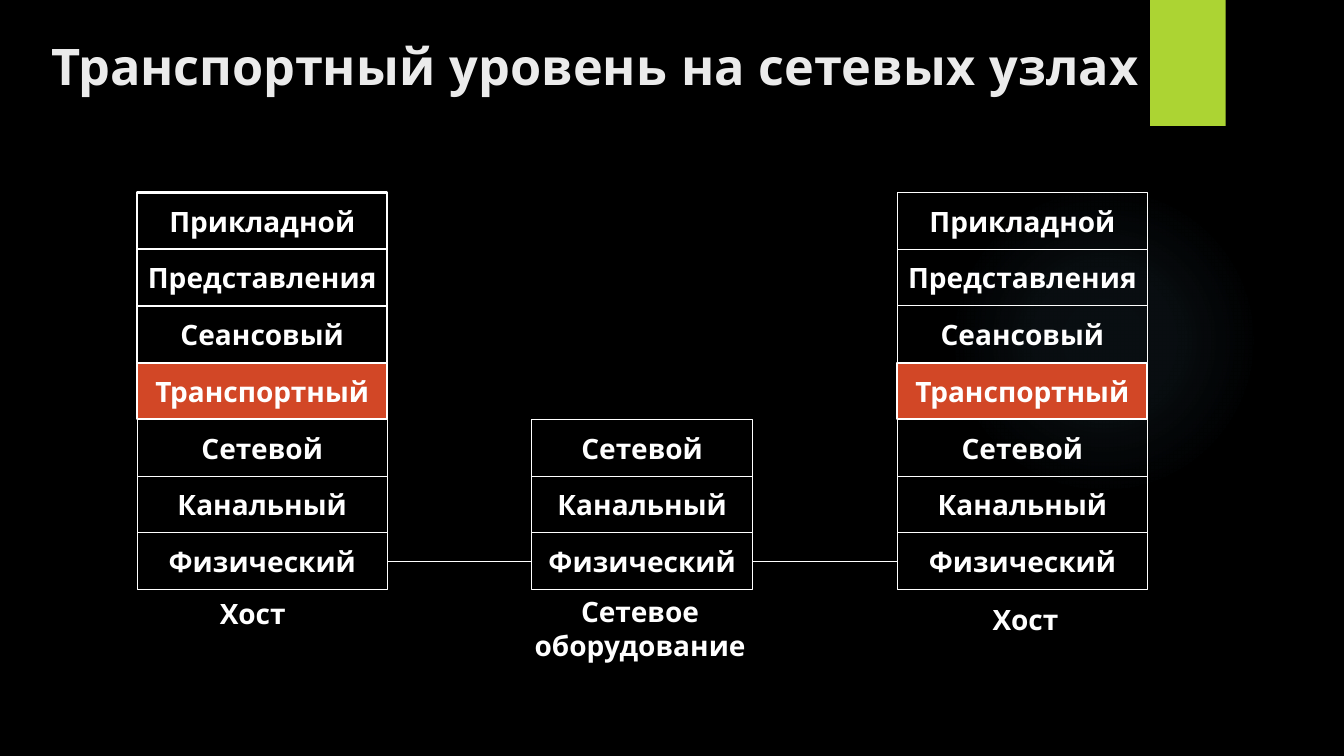
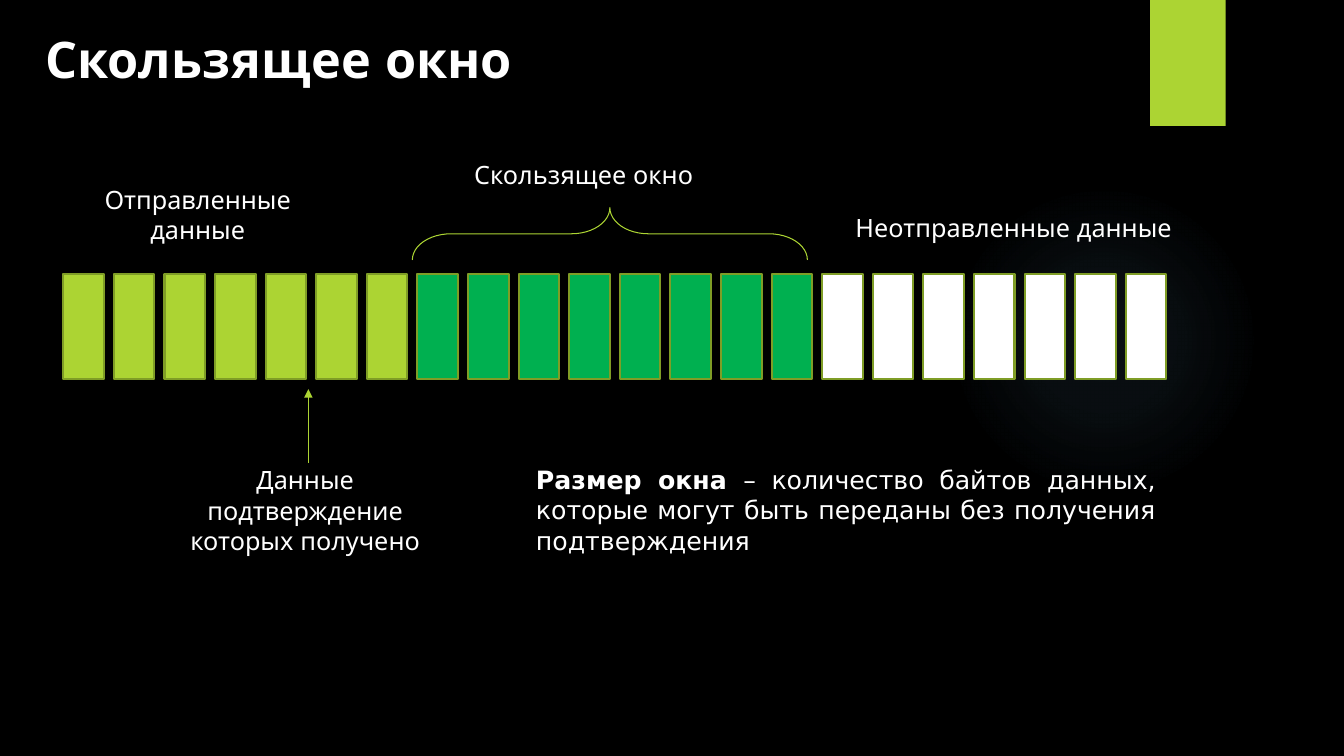
from lxml import etree
from pptx import Presentation
from pptx.dml.color import RGBColor
from pptx.enum.shapes import MSO_CONNECTOR as Connector, MSO_SHAPE as Preset
from pptx.enum.text import MSO_ANCHOR as Anchor, MSO_AUTO_SIZE as AutoSize, PP_ALIGN as Align
from pptx.oxml import parse_xml
from pptx.oxml.ns import nsdecls, qn
from pptx.util import Pt

FONT = "Quicksand"
DEFINITION_FONT = "DejaVu Sans"
BLACK, WHITE, TITLE_GRAY = "000000", "FFFFFF", "EBEBEB"
LIME, OLIVE, GREEN, ORANGE, GLOW = "ACD433", "7F9D26", "00B050", "D24726", "7AC4F0"
GLOW_STOPS = [(0, 7), (36, 6), (69, 0)]

LAYERS = ["Прикладной", "Представления", "Сеансовый", "Транспортный",
          "Сетевой", "Канальный", "Физический"]
STACK_TOP, LAYER_HEIGHT = 137.5, 40.53
HOST_WIDTH, DEVICE_WIDTH = 178.6, 158.4
LEFT_HOST, DEVICE, RIGHT_HOST = 98, 379.5, 641

BRICKS = [LIME] * 7 + [GREEN] * 8 + [WHITE] * 7
BRICK_LEFT, BRICK_TOP, BRICK_PITCH = 45.2, 196, 36.14
BRICK_WIDTH, BRICK_HEIGHT = 29, 75


def color(value):
    return RGBColor.from_string(value)


def points(*lengths):
    return [Pt(length) for length in lengths]


def format_run(run, size, bold=False, ink=WHITE, name=FONT):
    run.font.name = name
    run.font.size = Pt(size)
    run.font.bold = bold
    run.font.color.rgb = color(ink)


def write(text_frame, text, align, size, **style):
    text_frame.text = text
    for paragraph in text_frame.paragraphs:
        paragraph.alignment = align
        for run in paragraph.runs:
            format_run(run, size, **style)


def add_shape(slide, preset, box, fill=None, line=None, width=0.75):
    shape = slide.shapes.add_shape(preset, *points(*box))
    shape.shadow.inherit = False
    if fill:
        shape.fill.solid()
        shape.fill.fore_color.rgb = color(fill)
    else:
        shape.fill.background()
    if line:
        shape.line.color.rgb = color(line)
        shape.line.width = Pt(width)
    else:
        shape.line.fill.background()
    return shape


def add_label(slide, box, text, size=18, align=Align.CENTER, **style):
    text_frame = slide.shapes.add_textbox(*points(*box)).text_frame
    text_frame.word_wrap = True
    write(text_frame, text, align, size, **style)
    return text_frame


def add_line(slide, start, end, ink, arrow=False):
    connector = slide.shapes.add_connector(Connector.STRAIGHT, *points(*start, *end))
    connector.line.color.rgb = color(ink)
    connector.line.width = Pt(0.75)
    if arrow:
        etree.SubElement(connector.line._get_or_add_ln(), qn("a:tailEnd"), type="triangle")
    etree.SubElement(connector.element.spPr, qn("a:effectLst"))


def add_glow(slide):
    glow = add_shape(slide, Preset.OVAL, (677.5, 131.8, 221.8, 221.8))
    stops = "".join(
        f'<a:gs pos="{position * 1000}"><a:srgbClr val="{GLOW}">'
        f'<a:alpha val="{alpha * 1000}"/></a:srgbClr></a:gs>'
        for position, alpha in GLOW_STOPS)
    gradient = parse_xml(
        f'<a:gradFill {nsdecls("a")}><a:gsLst>{stops}</a:gsLst><a:path path="circle">'
        '<a:fillToRect l="50000" t="50000" r="50000" b="50000"/></a:path></a:gradFill>')
    properties = glow.element.spPr
    properties.replace(properties.find(qn("a:noFill")), gradient)
    return glow


def decorate_layout(layout, slide):
    layout.background.fill.solid()
    layout.background.fill.fore_color.rgb = color(BLACK)
    accent = add_shape(slide, Preset.RECTANGLE, (821.5, 0, 54, 90), LIME)
    for shape in (add_glow(slide), accent):
        layout.shapes.element.append(shape.element)


def set_title(slide, text, box, ink):
    title = slide.shapes.title
    title.left, title.top, title.width, title.height = points(*box)
    text_frame = title.text_frame
    text_frame.auto_size = AutoSize.NONE
    text_frame.vertical_anchor = Anchor.TOP
    write(text_frame, text, Align.LEFT, 36, bold=True, ink=ink)


def add_stack(slide, left, width, first=0, thick_rows=(3,)):
    for row in reversed(range(first, len(LAYERS))):
        box = (left, STACK_TOP + row * LAYER_HEIGHT, width, LAYER_HEIGHT)
        layer = add_shape(slide, Preset.RECTANGLE, box,
                          ORANGE if row == 3 else None, WHITE,
                          1.5 if row in thick_rows else 0.75)
        layer.text_frame.word_wrap = False
        layer.text_frame.vertical_anchor = Anchor.MIDDLE
        write(layer.text_frame, LAYERS[row], Align.CENTER, 20, bold=True)


def build_layers(slide):
    set_title(slide, "Транспортный уровень на сетевых узлах",
              (29.5, 21.6, 796, 64), TITLE_GRAY)
    add_stack(slide, LEFT_HOST, HOST_WIDTH, thick_rows=range(4))
    add_stack(slide, DEVICE, DEVICE_WIDTH, first=4)
    add_stack(slide, RIGHT_HOST, HOST_WIDTH)
    cable_y = STACK_TOP + (len(LAYERS) - 0.5) * LAYER_HEIGHT
    for start, end in [(LEFT_HOST + HOST_WIDTH, DEVICE),
                       (DEVICE + DEVICE_WIDTH, RIGHT_HOST)]:
        add_line(slide, (start, cable_y), (end, cable_y), WHITE)
    for box, text in [((148, 422.6, 65, 32), "Хост"),
                      ((374.4, 421.2, 165.6, 56), "Сетевое\nоборудование"),
                      ((700, 427, 65, 32), "Хост")]:
        add_label(slide, box, text, size=20, bold=True)


def build_window(slide):
    set_title(slide, "Скользящее окно", (25.2, 16.6, 808, 64), WHITE)
    for index, fill in enumerate(BRICKS):
        box = (BRICK_LEFT + index * BRICK_PITCH, BRICK_TOP, BRICK_WIDTH, BRICK_HEIGHT)
        add_shape(slide, Preset.RECTANGLE, box, fill, OLIVE, 1.5)
    add_line(slide, (220.3, 330.5), (220.3, 278), LIME, arrow=True)
    brace = add_shape(slide, Preset.LEFT_BRACE, (416.9, 25.9, 37.4, 282.2), line=LIME)
    brace.rotation = 90
    brace.adjustments[0] = 0.737
    for box, text in [((110, 328.3, 216, 96), "Данные подтверждение которых получено"),
                      ((309, 110, 216, 39), "Скользящее окно"),
                      ((33.3, 128.2, 216, 68), "Отправленные данные"),
                      ((543.6, 148.3, 361, 39), "Неотправленные данные")]:
        add_label(slide, box, text)
    definition = add_label(slide, (375.8, 328.3, 457, 125), "Размер окна ",
                           align=Align.JUSTIFY, bold=True, name=DEFINITION_FONT)
    run = definition.paragraphs[0].add_run()
    run.text = "– количество байтов данных, которые могут быть переданы без получения подтверждения"
    format_run(run, 18, name=DEFINITION_FONT)


def main():
    presentation = Presentation()
    presentation.slide_width, presentation.slide_height = points(960, 540)
    layout = presentation.slide_layouts[5]
    layers_slide = presentation.slides.add_slide(layout)
    decorate_layout(layout, layers_slide)
    build_layers(layers_slide)
    build_window(presentation.slides.add_slide(layout))
    presentation.save("out.pptx")


if __name__ == "__main__":
    main()
